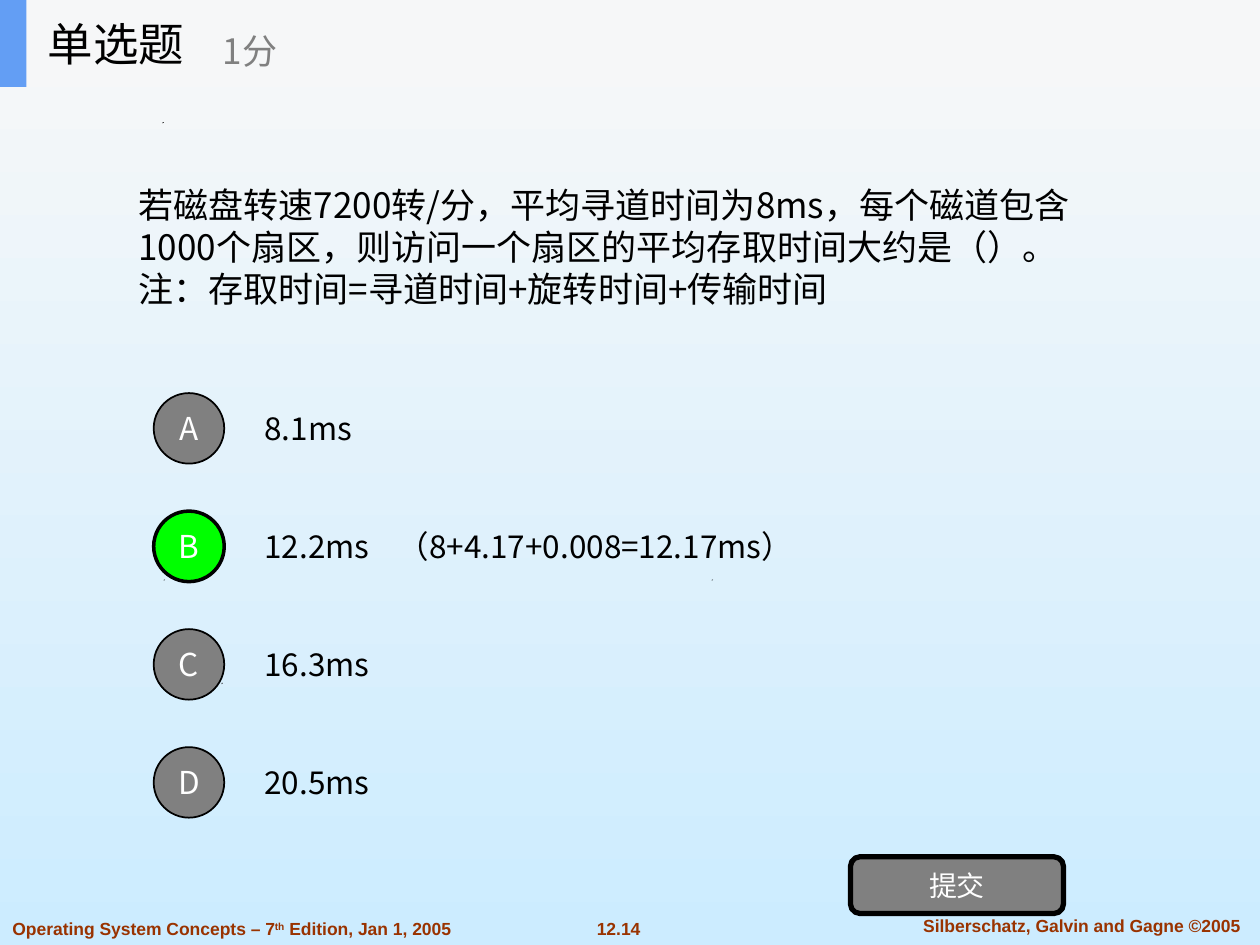
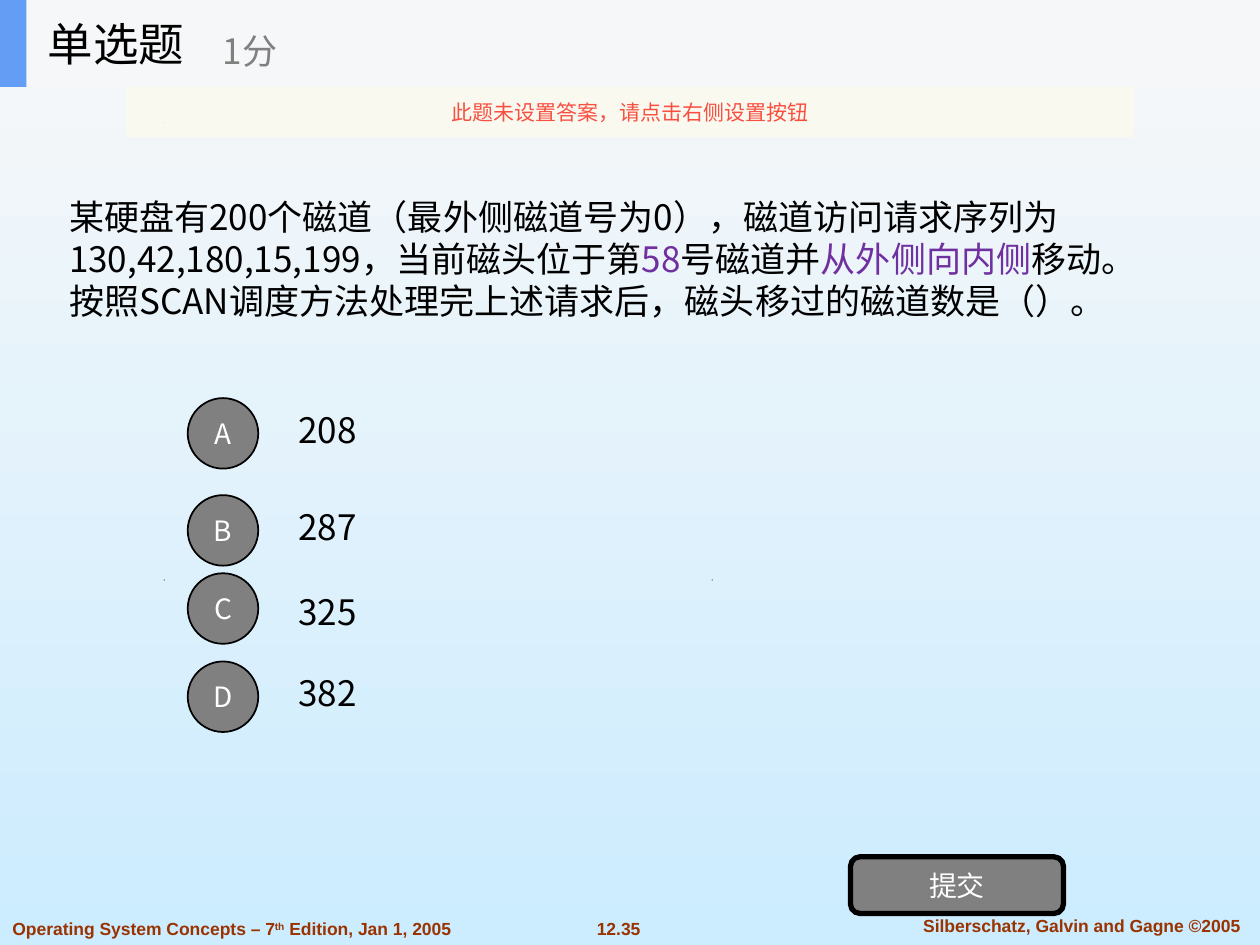
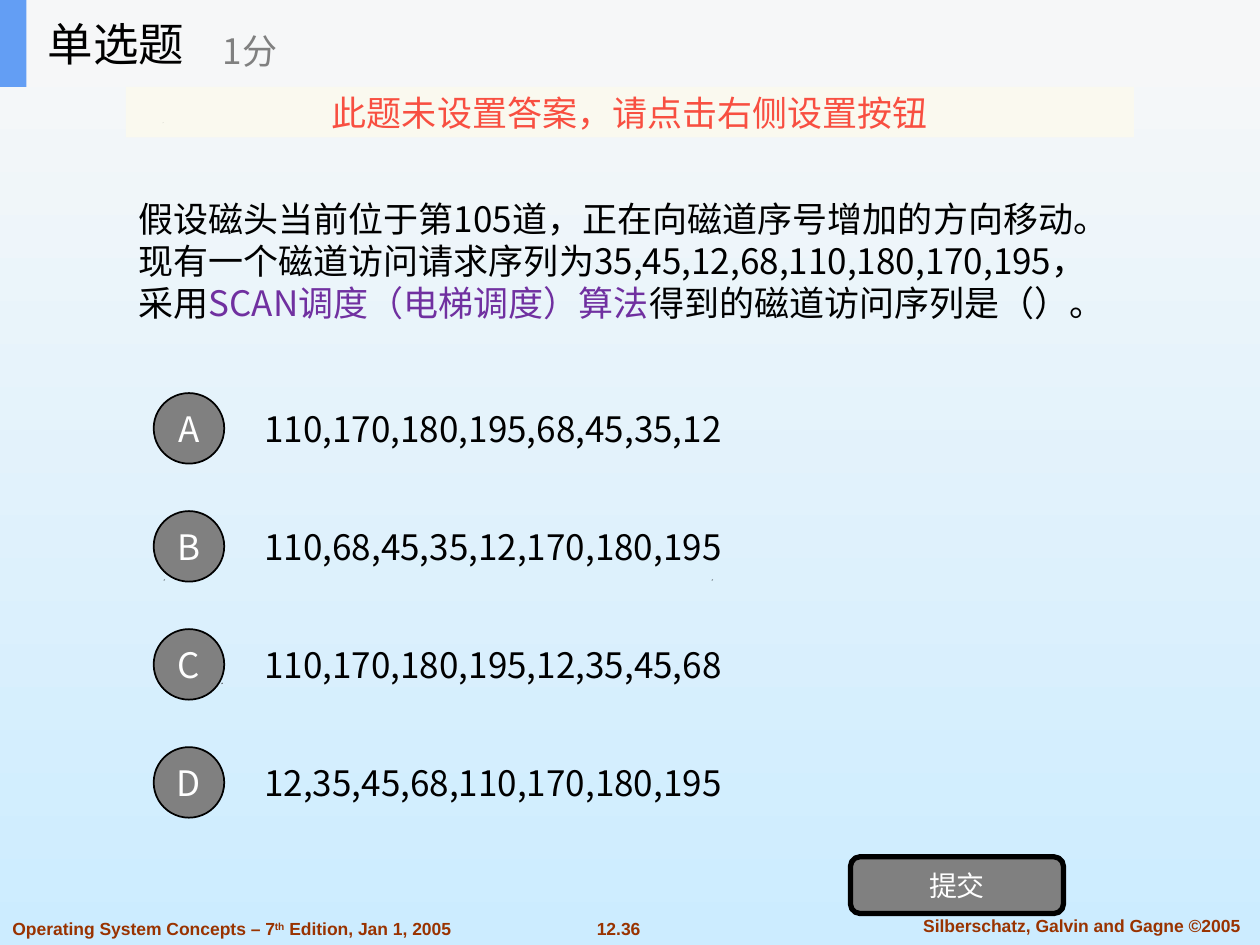
from pptx import Presentation
from pptx.dml.color import RGBColor
from pptx.enum.shapes import MSO_SHAPE
from pptx.enum.text import MSO_ANCHOR, PP_ALIGN
from pptx.oxml.ns import qn
from pptx.util import Inches, Pt
from lxml import etree

LEFT, CENTER = PP_ALIGN.LEFT, PP_ALIGN.CENTER
TOP, MIDDLE = MSO_ANCHOR.TOP, MSO_ANCHOR.MIDDLE
RECT, OVAL, ROUND = MSO_SHAPE.RECTANGLE, MSO_SHAPE.OVAL, MSO_SHAPE.ROUNDED_RECTANGLE

CJK = "Noto Sans CJK SC"
COLORS = {
    "sky_top": "F8F8F8", "sky_bottom": "CCECFF",
    "black": "000000", "white": "FFFFFF", "gray": "808080",
    "correct": "00FF00", "purple": "7030A0", "footer": "993300",
    "header": "F6F7F8", "accent": "639EF4",
    "notice": "FBFAEF", "warning": "F84F41",
}
RGB = {name: RGBColor.from_string(value) for name, value in COLORS.items()}

NOTICE = "此题未设置答案，请点击右侧设置按钮"
SPECKS = [(1.76, 5.42), (1.3, 4.6), (5.65, 4.6), (1.29, 0.97)]
EVEN_TOPS = [3.12 + i * 2.81 / 3 for i in range(4)]
EVEN_LABELS = [top - 0.07 for top in EVEN_TOPS]

# Highlighted words are (text, colour) pairs; each inner list is a paragraph.
QUESTIONS = [
    dict(number="12.14", box=(1, 1.24, 8, 1.44), notice_size=None,
         text=[["若磁盘转速7200转/分，平均寻道时间为8ms，每个磁道包含1000个扇区，"
                "则访问一个扇区的平均存取时间大约是（）。"],
               ["注：存取时间=寻道时间+旋转时间+传输时间"]],
         options=["8.1ms", "12.2ms\t（8+4.17+0.008=12.17ms）", "16.3ms", "20.5ms"],
         answer="B", circle_left=1.22, circle_tops=EVEN_TOPS, letter_size=18,
         label_left=2, label_tops=EVEN_LABELS, label_size=(7, 0.7), option_size=18),
    dict(number="12.35", box=(0.45, 1.3, 9.11, 1.51), notice_size=12,
         text=[["某硬盘有200个磁道（最外侧磁道号为0），磁道访问请求序列为"
                "130,42,180,15,199，当前磁头位于第",
                ("58", "purple"), "号磁道并", ("从外侧向内侧", "purple"), "移动。"],
               ["按照SCAN调度方法处理完上述请求后，磁头移过的磁道数是（）。"]],
         options=["208", "287", "325", "382"],
         answer=None, circle_left=1.49, circle_tops=[3.16, 3.93, 4.55, 5.25], letter_size=16,
         label_left=2.27, label_tops=[3.09, 3.86, 4.54, 5.18], label_size=(1.76, 0.63),
         option_size=20),
    dict(number="12.36", box=(1, 1.2, 8, 1.74), notice_size=20,
         text=[["假设磁头当前位于第105道，正在向磁道序号增加的方向移动。"
                "现有一个磁道访问请求序列为35,45,12,68,110,180,170,195，采用",
                ("SCAN调度（电梯调度）算法", "purple"), "得到的磁道访问序列是（）。"]],
         options=["110,170,180,195,68,45,35,12", "110,68,45,35,12,170,180,195",
                  "110,170,180,195,12,35,45,68", "12,35,45,68,110,170,180,195"],
         answer=None, circle_left=1.22, circle_tops=EVEN_TOPS, letter_size=20,
         label_left=2, label_tops=EVEN_LABELS, label_size=(7, 0.7), option_size=20),
]


def write(sp, paragraphs, size=20, color="black", font=CJK, bold=False,
          align=LEFT, anchor=MIDDLE, wrap=True, tab=None):
    """Fill a shape with a string, or with paragraphs made of strings and (text, colour) pairs."""
    if isinstance(paragraphs, str):
        paragraphs = [[paragraphs]]
    tf = sp.text_frame
    tf.word_wrap = wrap
    tf.vertical_anchor = anchor
    for i, parts in enumerate(paragraphs):
        p = tf.add_paragraph() if i else tf.paragraphs[0]
        p.alignment = align
        pPr = p._p.get_or_add_pPr()
        pPr.set("hangingPunct", "0")
        if tab:
            tabs = etree.SubElement(pPr, qn("a:tabLst"))
            etree.SubElement(tabs, qn("a:tab"), pos=str(Inches(tab)), algn="l")
        for part in parts:
            text, run_color = (part, color) if isinstance(part, str) else part
            r = p.add_run()
            r.text = text
            r.font.size = Pt(size)
            r.font.bold = bold
            r.font.name = font
            r.font.color.rgb = RGB[run_color]
            etree.SubElement(r.font._element, qn("a:ea"), typeface=font)
    return tf


def add_box(s, left, top, width, height, kind=None, fill=None, line=None):
    """Add a text box, or a preset shape when kind is given; line is a width in points."""
    place = [Inches(v) for v in (left, top, width, height)]
    if kind is None:
        return s.shapes.add_textbox(*place)
    sp = s.shapes.add_shape(kind, *place)
    sp.shadow.inherit = False
    sp.fill.solid()
    sp.fill.fore_color.rgb = RGB[fill]
    if line:
        sp.line.color.rgb = RGB["black"]
        sp.line.width = Pt(line)
    else:
        sp.line.fill.background()
    return sp


prs = Presentation()
prs.slide_width, prs.slide_height = Inches(10), Inches(7.5)

sky = prs.slide_master.background.fill
sky.gradient()
sky.gradient_angle = 270
for stop, name in zip(sky.gradient_stops, ("sky_top", "sky_bottom")):
    stop.color.rgb = RGB[name]

footer_style = dict(size=10, color="footer", font="Arial", bold=True, anchor=TOP)

for q in QUESTIONS:
    s = prs.slides.add_slide(prs.slide_layouts[5])

    # Footer and the template's small specks
    write(add_box(s, 4.63, 7.24, 0.56, 0.27), q["number"],
          align=CENTER, wrap=False, **footer_style)
    write(add_box(s, 7.1, 7.21, 2.97, 0.27), "Silberschatz, Galvin and Gagne ©2005",
          align=CENTER, **footer_style)
    tf = write(add_box(s, 0, 7.24, 3.69, 0.27),
               [["Operating System Concepts – 7", "th", " Edition, Jan 1, 2005"]],
               wrap=False, **footer_style)
    tf.paragraphs[0].runs[1].font._element.set("baseline", "30000")
    for x, y in SPECKS:
        outline = s.shapes.build_freeform(Inches(x), Inches(y + 0.01))
        outline.add_line_segments([(Inches(x), Inches(y)),
                                   (Inches(x + 0.01), Inches(y))])
        speck = outline.convert_to_shape()
        speck.shadow.inherit = False
        speck.fill.solid()
        speck.fill.fore_color.rgb = RGB["black"]
        speck.line.fill.background()

    # Question and options
    write(add_box(s, *q["box"]), q["text"])
    for letter, option, circle_top, label_top in zip(
            "ABCD", q["options"], q["circle_tops"], q["label_tops"]):
        write(add_box(s, q["label_left"], label_top, *q["label_size"]), option,
              size=q["option_size"], tab=1.06 if "\t" in option else None)
        correct = letter == q["answer"]
        circle = add_box(s, q["circle_left"], circle_top, 0.56, 0.56, OVAL,
                         "correct" if correct else "gray", 2 if correct else 1)
        write(circle, letter, size=q["letter_size"], color="white", align=CENTER, wrap=False)
    write(add_box(s, 6.75, 6.8, 1.69, 0.45, ROUND, "gray", 3), "提交",
          size=16, color="white", align=CENTER, wrap=False)

    # Header, with the title brought in front of its band
    add_box(s, 0, 0, 10, 0.69, RECT, "header")
    add_box(s, 0, 0, 0.21, 0.69, RECT, "accent")
    title = s.shapes.title
    title.left, title.top, title.width, title.height = [
        Inches(v) for v in (0.28, 0, 2.08, 0.69)]
    write(title, "单选题", size=26, wrap=False)
    s.shapes.element.append(title.element)
    write(add_box(s, 1.67, 0.12, 2.5, 0.56), "1分", color="gray", wrap=False)

    if q["notice_size"]:
        notice = add_box(s, 1, 0.69, 8, 0.4, RECT, "notice")
        fill_color = notice.element.spPr.find(qn("a:solidFill")).find(qn("a:srgbClr"))
        etree.SubElement(fill_color, qn("a:alpha"), val="90000")
        write(notice, NOTICE, size=q["notice_size"], color="warning",
              align=CENTER, wrap=False)

prs.save("out.pptx")
